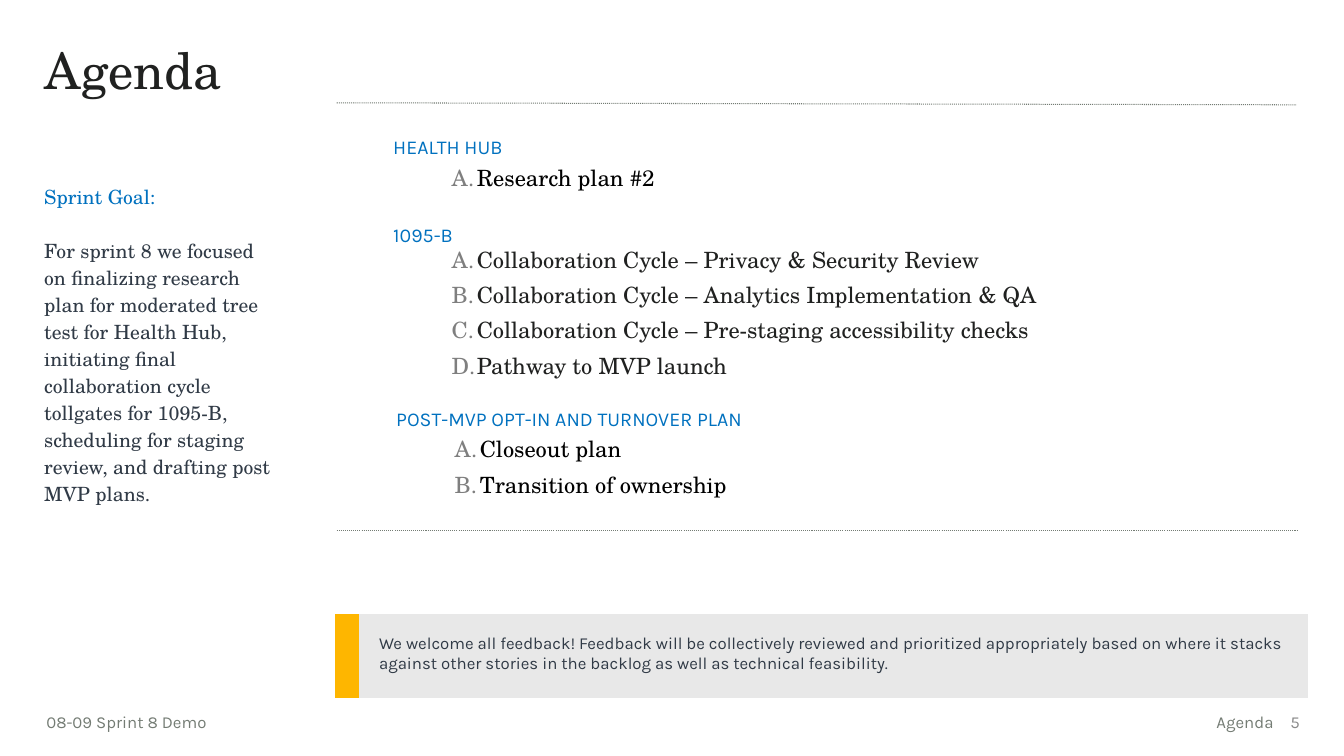
from dataclasses import dataclass

from lxml.etree import SubElement
from pptx import Presentation
from pptx.dml.color import RGBColor
from pptx.enum.dml import MSO_LINE
from pptx.enum.shapes import MSO_CONNECTOR
from pptx.enum.text import MSO_ANCHOR, PP_ALIGN
from pptx.oxml.ns import qn
from pptx.slide import Slide
from pptx.text.text import TextFrame
from pptx.util import Inches, Length, Pt

SERIF = "TeX Gyre Schola"
SANS = "Karla"

BLACK = RGBColor(0x00, 0x00, 0x00)
INK = RGBColor(0x20, 0x21, 0x20)
SLATE = RGBColor(0x30, 0x3A, 0x46)
BLUE = RGBColor(0x00, 0x71, 0xBF)
MOSS = RGBColor(0x74, 0x7C, 0x74)
PAGE_GREY = RGBColor(0x8A, 0x8A, 0x8A)
NUMBER_GREY = RGBColor(0x7F, 0x7F, 0x7F)
AMBER = RGBColor(0xFE, 0xB6, 0x00)
PALE_GREY = RGBColor(0xE8, 0xE8, 0xE8)

COLUMNS, ROWS = 133.3, 75
NO_STYLE_NO_GRID = "{2D5ABB26-0587-4C30-8999-92F81FD0307C}"
ITEM_INDENT = Inches(0.25)


def cells(count: float) -> Length:
    """Length of a number of grid cells, each a tenth of an inch square."""
    return Inches(count / 10)


@dataclass(frozen=True)
class Style:
    font: str
    size: int
    color: RGBColor


@dataclass(frozen=True)
class Label:
    text: str
    col: float
    row: float
    width: float
    height: float
    style: Style
    align: PP_ALIGN = PP_ALIGN.LEFT
    anchor: MSO_ANCHOR = MSO_ANCHOR.TOP
    left_inset: float = 1
    line_spacing: float = 1.0


@dataclass(frozen=True)
class Section:
    heading: str
    items: tuple[str, ...]
    col: float
    heading_row: float
    items_row: float
    color: RGBColor


HEADING = Style(SANS, 14, BLUE)
FOOTER = Style(SANS, 12, MOSS)
NOTE = Style(SANS, 12, SLATE)
GOAL_HEADING = Style(SERIF, 14, BLUE)
GOAL_BODY = Style(SERIF, 14, SLATE)

LABELS = (
    Label("Agenda", 3.4, 4.1, 71.3, 8.2, Style(SERIF, 36, INK), line_spacing=0.9),
    Label("5", 125.5, 69.6, 4.4, 4, Style(SANS, 12, PAGE_GREY),
          PP_ALIGN.RIGHT, MSO_ANCHOR.MIDDLE),
    Label("Agenda", 97.5, 70.1, 29.8, 3, FOOTER, PP_ALIGN.RIGHT),
    Label("08-09 Sprint 8 Demo", 4.6, 70.1, 29.8, 3, FOOTER, left_inset=0),
)

SECTIONS = (
    Section("HEALTH HUB", ("Research plan #2",), 39, 12.9, 16.3, BLACK),
    Section("1095-B", (
        "Collaboration Cycle – Privacy & Security Review",
        "Collaboration Cycle – Analytics Implementation & QA",
        "Collaboration Cycle – Pre-staging accessibility checks",
        "Pathway to MVP launch",
    ), 39, 21.6, 24.4, INK),
    Section("POST-MVP OPT-IN AND TURNOVER PLAN",
            ("Closeout plan", "Transition of ownership"), 39.3, 39.9, 43.2, BLACK),
)

GOAL = (
    "For sprint 8 we focused on finalizing research plan for moderated tree test "
    "for Health Hub, initiating final collaboration cycle tollgates for 1095-B, "
    "scheduling for staging review, and drafting post MVP plans."
)
FEEDBACK = (
    "We welcome all feedback! Feedback will be collectively reviewed and prioritized "
    "appropriately based on where it stacks against other stories in the backlog "
    "as well as technical feasibility."
)


def format_runs(p, style: Style) -> None:
    for r in p.runs:
        r.font.name = style.font
        r.font.size = Pt(style.size)
        r.font.color.rgb = style.color


def add_frame(s: Slide, col: float, row: float, width: float, height: float) -> TextFrame:
    tf = s.shapes.add_textbox(cells(col), cells(row), cells(width), cells(height)).text_frame
    tf.word_wrap = True
    return tf


def add_label(s: Slide, label: Label) -> None:
    tf = add_frame(s, label.col, label.row, label.width, label.height)
    tf.margin_left = cells(label.left_inset)
    tf.vertical_anchor = label.anchor
    tf.text = label.text
    p = tf.paragraphs[0]
    p.alignment = label.align
    p.line_spacing = label.line_spacing
    format_runs(p, label.style)


def add_goal(s: Slide) -> None:
    tf = add_frame(s, 3.4, 17.5, 24.7, 39.1)
    tf.text = f"Sprint Goal:\n{GOAL}"
    for p, style in zip(tf.paragraphs, (GOAL_HEADING, GOAL_BODY)):
        p.line_spacing = 1.15
        format_runs(p, style)
    tf.paragraphs[1].space_before = Pt(19.3)


def letter_paragraph(p) -> None:
    """Number a paragraph A., B., C. with a hanging indent."""
    pPr = p._p.get_or_add_pPr()
    pPr.set("marL", str(ITEM_INDENT))
    pPr.set("indent", str(-ITEM_INDENT))
    color = SubElement(SubElement(pPr, qn("a:buClr")), qn("a:srgbClr"))
    color.set("val", str(NUMBER_GREY))
    SubElement(pPr, qn("a:buAutoNum")).set("type", "alphaUcPeriod")


def add_section(s: Slide, section: Section) -> None:
    add_label(s, Label(section.heading, section.col, section.heading_row, 52.8, 4,
                       HEADING, left_inset=0))
    tf = add_frame(s, section.col + 5.8, section.items_row, 68,
                   3.5 * len(section.items) - 0.7)
    tf.margin_left = tf.margin_right = tf.margin_top = tf.margin_bottom = 0
    tf.text = "\n".join(section.items)
    for index, p in enumerate(tf.paragraphs):
        letter_paragraph(p)
        if index:
            p.space_before = Pt(6)
        format_runs(p, Style(SERIF, 16, section.color))


def add_dotted_rule(s: Slide, start_row: float, end_row: float) -> None:
    rule = s.shapes.add_connector(MSO_CONNECTOR.STRAIGHT, cells(33.4), cells(start_row),
                                  cells(128.6), cells(end_row))
    rule.line.color.rgb = MOSS
    rule.line.width = Pt(0.75)
    rule.line.dash_style = MSO_LINE.ROUND_DOT
    SubElement(rule._element.spPr, qn("a:effectLst"))


def add_feedback(s: Slide) -> None:
    widths = (1.3, 94.1)
    table = s.shapes.add_table(1, 2, cells(33.2), cells(60.9),
                               cells(sum(widths)), cells(8.3)).table
    table.first_row = table.horz_banding = False
    table._tbl.tblPr.find(qn("a:tableStyleId")).text = NO_STYLE_NO_GRID
    for index, (width, fill) in enumerate(zip(widths, (AMBER, PALE_GREY))):
        table.columns[index].width = cells(width)
        cell = table.cell(0, index)
        cell.fill.solid()
        cell.fill.fore_color.rgb = fill
    note = table.cell(0, 1)
    note.margin_left = note.margin_right = note.margin_top = note.margin_bottom = cells(2)
    note.text_frame.text = FEEDBACK
    format_runs(note.text_frame.paragraphs[0], NOTE)


def main() -> None:
    prs = Presentation()
    prs.slide_width, prs.slide_height = cells(COLUMNS), cells(ROWS)
    s = prs.slides.add_slide(prs.slide_layouts[6])
    for label in LABELS:
        add_label(s, label)
    add_goal(s)
    add_feedback(s)
    add_dotted_rule(s, 10.2, 10.4)
    add_dotted_rule(s, 52.6, 52.6)
    for section in SECTIONS:
        add_section(s, section)
    prs.save("out.pptx")


if __name__ == "__main__":
    main()
